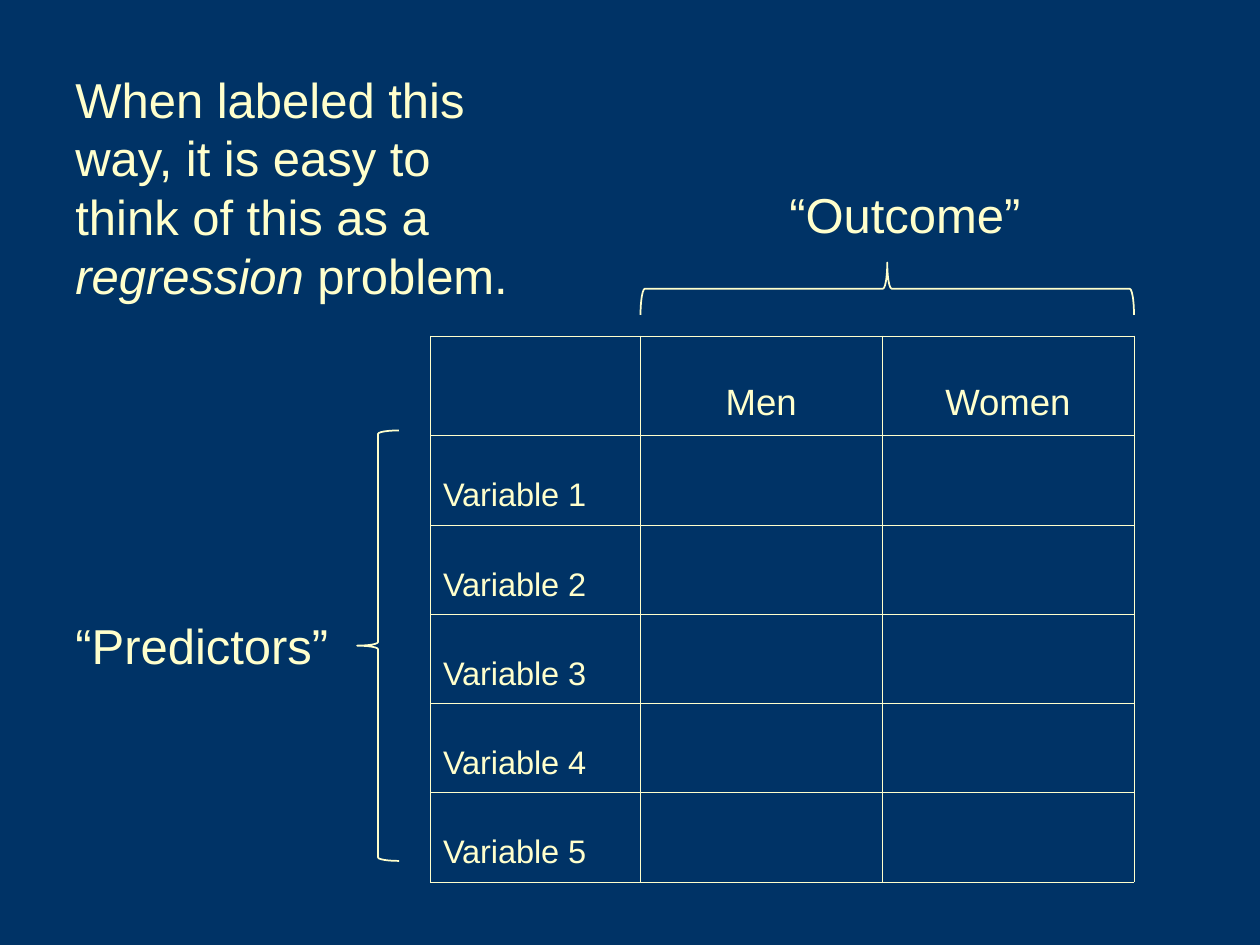
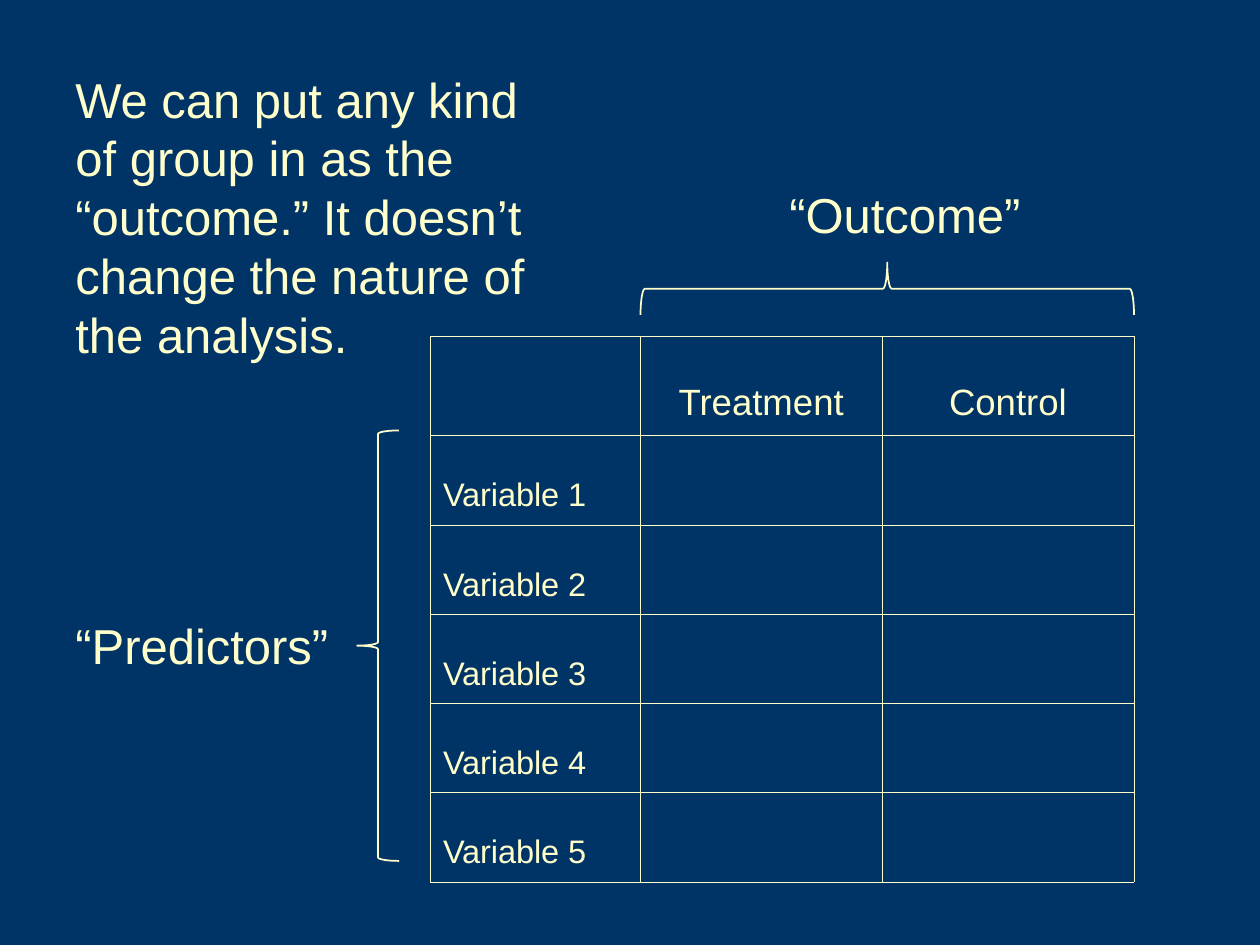
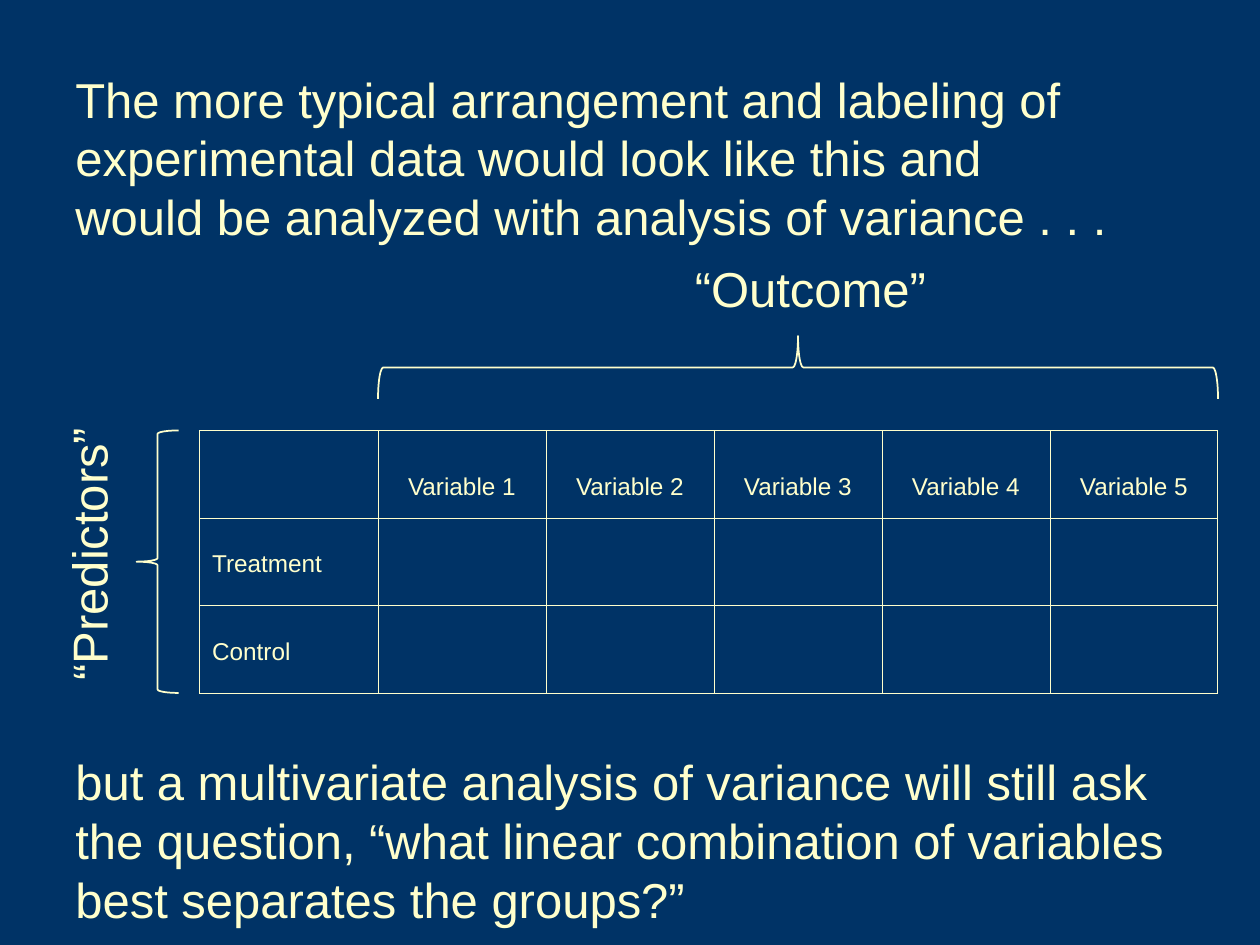
from lxml import etree
from pptx import Presentation
from pptx import util as u
from pptx.dml.color import RGBColor
from pptx.enum import shapes, text
from pptx.oxml import ns

NAVY = RGBColor(0x00, 0x33, 0x66)
CREAM = RGBColor(0xFF, 0xFF, 0xCC)
FONT = "Arial"
COLS, ROWS = 120, 90
LINE = 6.8  # height of a one-line label, in rows
VARS = [f"Variable {n}" for n in range(1, 6)]


class Deck:
    """Holds the style and the current slide; lengths are grid units."""

    def __init__(self):
        self.prs = Presentation()
        self.prs.slide_width = u.Inches(10)
        self.prs.slide_height = u.Inches(7.5)
        self.slide = None

    def add(self):
        self.slide = self.prs.slides.add_slide(self.prs.slide_layouts[6])
        fill = self.slide.background.fill
        fill.solid()
        fill.fore_color.rgb = NAVY

    def x(self, cols):
        return round(self.prs.slide_width * cols / COLS)

    def y(self, rows):
        return round(self.prs.slide_height * rows / ROWS)

    def box(self, left, top, wide, high, turn=0):
        """Frame that covers the given area once it is turned."""
        if turn % 180:
            left, top = left + (wide - high) / 2, top + (high - wide) / 2
            wide, high = high, wide
        return self.x(left), self.y(top), self.x(wide), self.y(high)

    def style(self, para, size):
        font = para.font
        font.name, font.size, font.color.rgb = FONT, u.Pt(size), CREAM

    def text(self, parts, left, top, wide, high=LINE, turn=0):
        """Text box; every second part is italic."""
        area = self.slide.shapes.add_textbox(*self.box(left, top, wide, high, turn))
        area.rotation = turn
        frame = area.text_frame
        frame.word_wrap = True
        frame.auto_size = text.MSO_AUTO_SIZE.SHAPE_TO_FIT_TEXT
        para = frame.paragraphs[0]
        self.style(para, 28)
        for i, part in enumerate(parts):
            run = para.add_run()
            run.text = part
            if i % 2:
                run.font.italic = True

    def brace(self, left, top, wide, high, turn=0):
        mark = self.slide.shapes.add_shape(
            shapes.MSO_SHAPE.LEFT_BRACE, *self.box(left, top, wide, high, turn))
        mark.rotation = turn
        mark.shadow.inherit = False
        mark.fill.background()
        mark.line.color.rgb = CREAM
        mark.line.width = u.Pt(1)

    def edge(self, cell):
        """Thin border on all four sides of a cell."""
        props = cell._tc.get_or_add_tcPr()
        for side in ("a:lnL", "a:lnR", "a:lnT", "a:lnB"):
            line = etree.SubElement(props, ns.qn(side), w=str(u.Pt(0.45)))
            fill = etree.SubElement(line, ns.qn("a:solidFill"))
            etree.SubElement(fill, ns.qn("a:srgbClr"), val=str(CREAM))

    def table(self, left, top, wides, highs, heads, names, sizes, anchor):
        """Empty grid with column heads and row names, set as subscripts."""
        grid = self.slide.shapes.add_table(
            len(highs), len(wides),
            *self.box(left, top, sum(wides), sum(highs))).table
        grid.first_row = grid.horz_banding = False
        for col, wide in zip(grid.columns, wides):
            col.width = self.x(wide)
        for row, high in zip(grid.rows, highs):
            row.height = self.y(high)
        for cell in grid.iter_cells():
            self.edge(cell)
            cell.fill.background()
        for i, head in enumerate(heads, 1):
            cell = grid.cell(0, i)
            cell.vertical_anchor = anchor
            self.label(cell, head, sizes[0], text.PP_ALIGN.CENTER)
        for i, name in enumerate(names, 1):
            self.label(grid.cell(i, 0), name, sizes[1], text.PP_ALIGN.LEFT)

    def label(self, cell, words, size, align):
        para = cell.text_frame.paragraphs[0]
        para.alignment = align
        self.style(para, size)
        run = para.add_run()
        run.text = words
        run._r.get_or_add_rPr().set("baseline", "-25000")


def groups(deck, parts, high, heads):
    """Slide with the groups as columns and the variables as rows."""
    deck.add()
    deck.table(41, 32, [20, 23, 24], [9.5] + [8.5] * 5, heads, VARS,
               (36, 32), text.MSO_ANCHOR.TOP)
    deck.brace(34, 41, 4, 41)
    deck.text(["“Predictors”"], 6, 58, 27)
    deck.brace(61, 25, 47, 5, 90)
    deck.text(["“Outcome”"], 74, 17, 25)
    deck.text(parts, 6, 6, 46, high)


def design(deck):
    """Slide with the variables as columns and the groups as rows."""
    deck.add()
    deck.table(19, 41, [17] + [16] * 5, [25 / 3] * 3, VARS,
               ["Treatment", "Control"], (24, 24), text.MSO_ANCHOR.MIDDLE)
    deck.brace(13, 41, 4, 25)
    deck.text(["“Predictors”"], 5, 39, LINE, 27, 270)
    deck.brace(36, 32, 80, 6, 90)
    deck.text(["“Outcome”"], 65, 24, 25)
    deck.text(["The more typical arrangement and labeling of experimental data "
               "would look like this and would be analyzed with analysis of "
               "variance . . ."], 6, 6, 101.5, 18)
    deck.text(["but a multivariate analysis of variance will still ask the "
               "question, “what linear combination of variables best separates "
               "the groups?”"], 6, 71, 109, 18)


def main():
    deck = Deck()
    groups(deck, ["When labeled this way, it is easy to think of this as a ",
                  "regression", " problem."], 23.6, ["Men", "Women"])
    groups(deck, ["We can put any kind of group in as the “outcome.” It doesn’t "
                  "change the nature of the analysis."], 29.2,
           ["Treatment", "Control"])
    design(deck)
    deck.prs.save("out.pptx")


if __name__ == "__main__":
    main()
